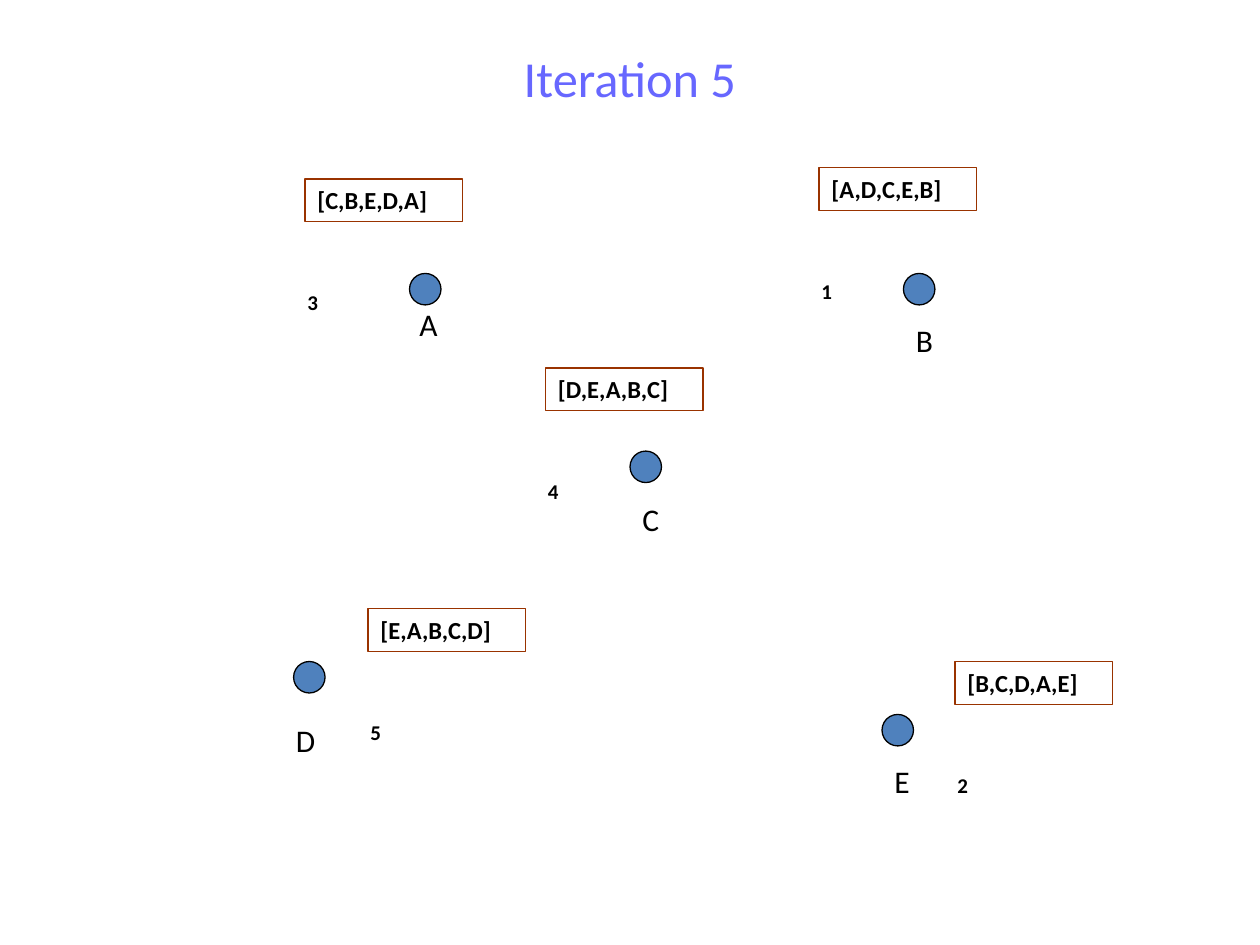
from pptx import Presentation
from pptx.dml.color import RGBColor
from pptx.enum.shapes import MSO_SHAPE as Shape
from pptx.enum.text import MSO_ANCHOR as Anchor, PP_ALIGN as Align
from pptx.util import Inches, Pt

FONT = "Calibri"
BLACK, TITLE, NODE, BORDER = "000000", "6767FF", "4F81BD", "993300"
DOT = 0.25
LIST_W, LIST_H = 1.25, 0.34
RANK_DX, RANK_DY = -0.08, 0.83  # rank number relative to its list box

# name, dot position, label position, list, list position, rank
NODES = [
    ("A", (3.25, 2.17), (3.23, 2.37), "[C,B,E,D,A]", (2.42, 1.42), "3"),
    ("B", (7.17, 2.17), (7.17, 2.5), "[A,D,C,E,B]", (6.5, 1.33), "1"),
    ("C", (5, 3.58), (5, 3.92), "[D,E,A,B,C]", (4.33, 2.92), "4"),
    ("D", (2.33, 5.25), (2.25, 5.67), "[E,A,B,C,D]", (2.92, 4.83), "5"),
    ("E", (7, 5.67), (7, 6), "[B,C,D,A,E]", (7.58, 5.25), "2"),
]


def rgb(value):
    return RGBColor.from_string(value)


def write(s, text, size, color=BLACK, bold=False, align=Align.LEFT, anchor=Anchor.TOP):
    tf = s.text_frame
    tf.word_wrap = True
    tf.vertical_anchor = anchor
    p = tf.paragraphs[0]
    p.alignment = align
    r = p.add_run()
    r.text = text
    r.font.name = FONT
    r.font.size = Pt(size)
    r.font.bold = bold
    r.font.color.rgb = rgb(color)


def add_text(shapes, pos, size, text, points, **style):
    s = shapes.add_textbox(*map(Inches, pos + size))
    write(s, text, points, **style)


def add_outlined(shapes, kind, pos, size, line, fill=None):
    s = shapes.add_shape(kind, *map(Inches, pos + size))
    s.shadow.inherit = False
    if fill:
        s.fill.solid()
        s.fill.fore_color.rgb = rgb(fill)
    else:
        s.fill.background()
    s.line.color.rgb = rgb(line)
    s.line.width = Pt(0.75)
    return s


def add_ranked_list(shapes, pos, text, rank):
    group = shapes.add_group_shape().shapes
    x, y = pos
    add_text(group, (x + RANK_DX, y + RANK_DY), (0.29, 0.3), rank, 12, bold=True)
    s = add_outlined(group, Shape.RECTANGLE, pos, (LIST_W, LIST_H), BORDER)
    write(s, text, 14, bold=True)


def main():
    prs = Presentation()
    prs.slide_width, prs.slide_height = Inches(10), Inches(7.5)
    shapes = prs.slides.add_slide(prs.slide_layouts[6]).shapes

    # Title
    add_text(shapes, (0.5, 0.3), (9, 0.62), "Iteration 5", 28.8,
             color=TITLE, align=Align.CENTER, anchor=Anchor.MIDDLE)

    # Nodes with their labels, lists and ranks
    for name, dot, label, order, list_pos, rank in NODES:
        add_outlined(shapes, Shape.OVAL, dot, (DOT, DOT), BLACK, NODE)
        add_text(shapes, label, (0.38, 0.4), name, 18)
        add_ranked_list(shapes, list_pos, order, rank)

    prs.save("out.pptx")


if __name__ == "__main__":
    main()
